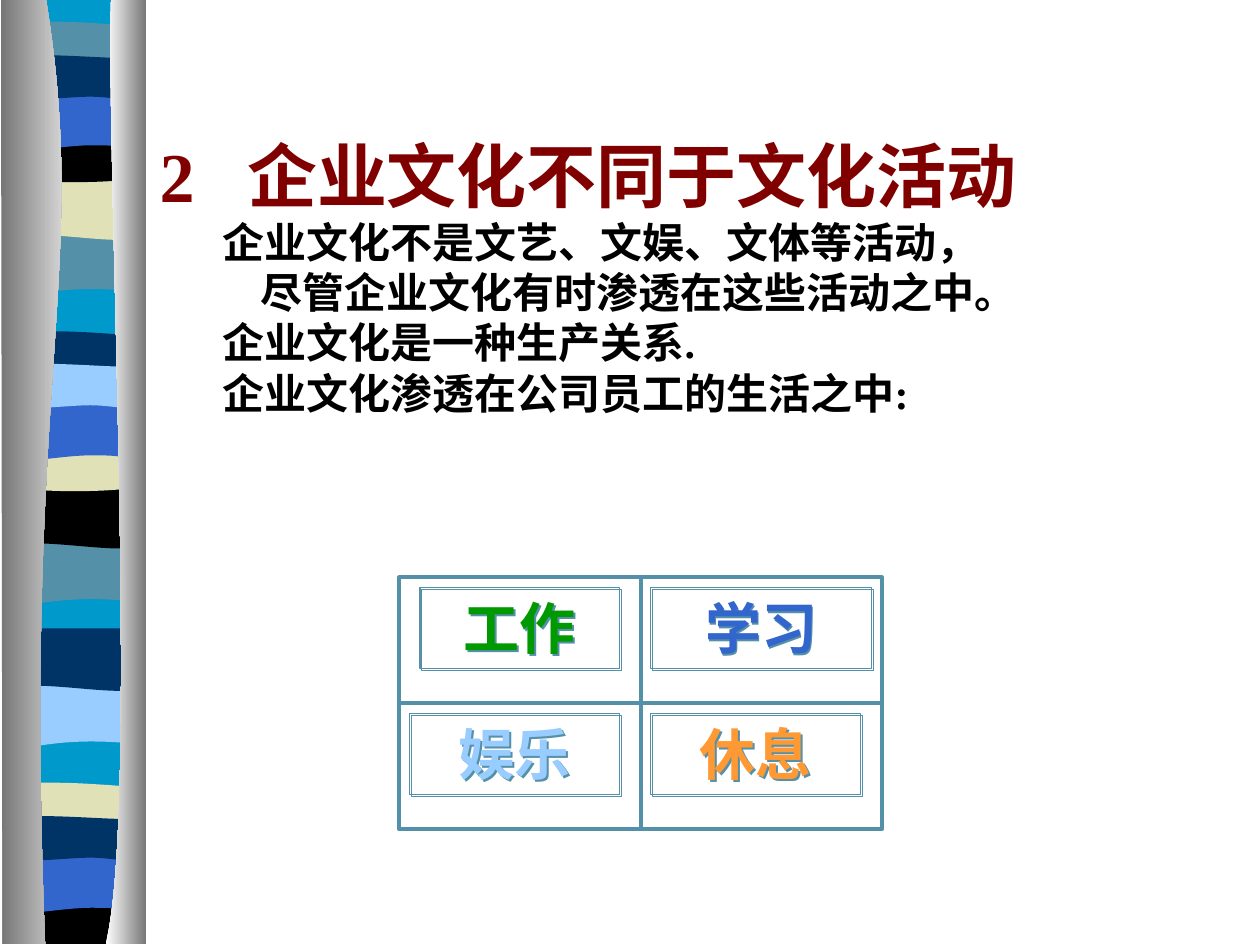
import pptx
import pptx.util
import pptx.dml.color
import pptx.enum.shapes
import pptx.enum.text
from lxml import etree
from pptx.util import Cm, Pt

FONT = "Times New Roman"
TEAL, NAVY, BLUE, SKY = "5490A8", "003366", "3366CC", "99CCFF"
CYAN, SAND, BLACK = "0099CC", "E1E1B7", "000000"
A = "http://schemas.openxmlformats.org/drawingml/2006/main"


def rgb(value):
    return pptx.dml.color.RGBColor.from_string(value)


def sub(parent, tag, **attrs):
    return etree.SubElement(parent, f"{{{A}}}{tag}", attrs)


def write(p, text, size=24, color=BLACK, align=None, indent=0, gap=0):
    """Write bold text; indent is in cm, gap widens the spaces, in points."""
    pPr = p._p.get_or_add_pPr()
    pPr.set("marL", str(Cm(indent)))
    pPr.set("indent", "0")
    p.alignment = align
    for piece in text.partition(" "):
        if not piece:
            continue
        r = p.add_run()
        r.text = piece
        r.font.name, r.font.size, r.font.bold = FONT, Pt(size), True
        r.font.color.rgb = rgb(color)
        if piece == " " and gap:
            r._r.get_or_add_rPr().set("spc", str(gap * 100))


def bend(sp, outline):
    """Turn each three line segments of a curve into one Bezier segment."""
    lines = sp._element.findall(f".//{{{A}}}lnTo")
    for part in outline[1:]:
        first = lines.pop(0)
        if len(part) == 6:
            curve = etree.Element(f"{{{A}}}cubicBezTo")
            first.addprevious(curve)
            for line in (first, lines.pop(0), lines.pop(0)):
                curve.append(line[0])
                line.getparent().remove(line)


class Deck:
    def __init__(self, line_color):
        self.prs = pptx.Presentation()
        self.prs.slide_width, self.prs.slide_height = Cm(25.4), Cm(19.05)
        self.s = self.prs.slides.add_slide(self.prs.slide_layouts[6])
        self.line_color = line_color

    def outline(self, outline, x=0, y=0, fill=None, gradient=None):
        """Draw corners (2 numbers) and Bezier curves (6 numbers)."""
        points = [(Cm(x + part[i]), Cm(y + part[i + 1]))
                  for part in outline for i in range(0, len(part), 2)]
        fb = self.s.shapes.build_freeform(*points[0], scale=1.0)
        fb.add_line_segments(points[1:], close=True)
        sp = fb.convert_to_shape()
        bend(sp, outline)
        sp.shadow.inherit = False
        sp.line.fill.background()
        if gradient:
            sp.fill.gradient()
            sp.fill.gradient_angle = 0
            for i, stop in enumerate(sp.fill.gradient_stops):
                stop.color.rgb = rgb(gradient[i])
                stop.position = i
        else:
            sp.fill.solid()
            sp.fill.fore_color.rgb = rgb(fill)

    def rect(self, x, y, w, h, weight):
        sp = self.s.shapes.add_shape(pptx.enum.shapes.MSO_SHAPE.RECTANGLE,
                                     Cm(x), Cm(y), Cm(w), Cm(h))
        sp.shadow.inherit = False
        sp.fill.background()
        sp.line.color.rgb = rgb(self.line_color)
        sp.line.width = Pt(weight)
        return sp

    def label(self, x, y, w, h, text, color):
        sp = self.rect(x, y, w, h, 0.75)
        effects = sp._element.spPr.find(f"{{{A}}}effectLst")
        shadow = sub(effects, "outerShdw", dist=str(Pt(1.4)), dir="2700000",
                     algn="ctr", rotWithShape="0")
        sub(shadow, "srgbClr", val=self.line_color)
        tf = sp.text_frame
        tf.word_wrap = True
        tf.vertical_anchor = pptx.enum.text.MSO_ANCHOR.TOP
        write(tf.paragraphs[0], text, 32, color, pptx.enum.text.PP_ALIGN.CENTER)

    def divider(self, sp, begin, end):
        c = self.s.shapes.add_connector(
            pptx.enum.shapes.MSO_CONNECTOR.STRAIGHT, 0, 0, 0, 0)
        c.begin_connect(sp, begin)
        c.end_connect(sp, end)
        c.line.color.rgb = rgb(self.line_color)
        c.line.width = Pt(2.25)
        sub(c._element.spPr, "effectLst")

    def text(self, x, y, w, h, paragraphs):
        tf = self.s.shapes.add_textbox(Cm(x), Cm(y), Cm(w), Cm(h)).text_frame
        tf.word_wrap = True
        for i, (text, style) in enumerate(paragraphs):
            write(tf.add_paragraph() if i else tf.paragraphs[0], text, **style)


# Band outlines, in cm from the left edge and top of the band
R = 2.74
WAVE = [(R, 0), (R, 1.19), (0.84, 0.98, 0.46, 1.39, 0, 1.19), (0, 0)]
SWELL = [(R, 0), (R, 1.19), (2.29, 1.4, 0.84, 1.04, 0, 1.19), (0, 0)]
ARCH = [(R, 0), (R, 1.19), (2.31, 1.05, 2.13, 1.05, 1.68, 1.05),
        (1.22, 1.05, 0.41, 1.19, 0, 1.19), (0, 0)]
BOWL = [(R, 0), (R, 0.82), (2.29, 0.97, 0.46, 0.97, 0, 0.82), (0, 0),
        (1.68, 0.13, 2.16, 0, R, 0)]
FLOOR = [(R, 0), (R, 0.95), (0, 0.95), (0, 0), (1.68, 0.13, 2.16, 0, R, 0)]
SLIM = [(R, 0.13), (R, 0.74), (2.29, 0.84, 0.46, 0.84, 0, 0.74), (0, 0.13),
        (0.15, 0, 0.58, 0.03, 1.04, 0.03), (1.5, 0.03, 2.39, 0.1, R, 0.13)]
RIBBON = [(R, 0.13), (R, 0.91), (2.57, 1.04, 2.13, 0.91, 1.68, 0.91),
          (1.22, 0.91, 0.28, 1.04, 0, 0.91), (0, 0.13),
          (0.38, 0, 1.85, 0.13, 2.31, 0.13)]

BANDS = [
    (WAVE, 4.7, TEAL), (SWELL, 3.58, SAND), (SLIM, 0.41, TEAL),
    (BOWL, 2.74, BLACK), (ARCH, 1.88, BLUE), (RIBBON, 1.04, NAVY),
    (WAVE, 10.95, TEAL), (SWELL, 9.8, BLACK), (SLIM, 6.65, NAVY),
    (BOWL, 8.97, SAND), (ARCH, 8.13, BLUE), (RIBBON, 7.26, SKY),
    (WAVE, 13.82, SKY), (SWELL, 12.67, NAVY), (SLIM, 15.75, SAND),
    (FLOOR, 18.08, BLACK), (ARCH, 17.25, BLUE), (RIBBON, 16.38, NAVY),
]


def main():
    deck = Deck(TEAL)

    # Striped side panel
    deck.outline([(0, 0), (R, 0), (R, 19), (0, 19)], x=0.15, fill=CYAN)
    for shape, top, color in BANDS:
        deck.outline(shape, 0.14, top, color)

    # Metallic edges
    deck.outline([(0.91, 0), (1.8, 5.49, 0.43, 7.52, 0.89, 19.03),
                  (0.03, 19.03), (0, 0)], x=0.02,
                 gradient=["767676", "FFFFFF"])
    deck.outline([(2.24, 0), (2.13, 3.18, 2.82, 16.41, 2.13, 19.03),
                  (2.95, 19.03), (2.95, 0)], gradient=["FFFFFF", "767676"])

    # Heading and statements
    body = dict(indent=1.27)
    deck.text(2.97, 2.54, 21.59, 11.43, [
        ("2 企业文化不同于文化活动", dict(size=40, color="800000", gap=20)),
        ("企业文化不是文艺、文娱、文体等活动，", body),
        ("尽管企业文化有时渗透在这些活动之中。", dict(indent=2.03)),
        ("企业文化是一种生产关系.", body),
        ("企业文化渗透在公司员工的生活之中:", body),
    ])

    # Four-part frame
    frame = deck.rect(8.05, 11.64, 9.73, 5.08, 2.25)
    deck.divider(frame, 2, 0)
    deck.divider(frame, 1, 3)

    # Labels of the four parts
    for x, y, w, text, color in [
        (8.47, 11.85, 4.02, "工作", "009900"),
        (13.12, 11.85, 4.45, "学习", BLUE),
        (8.26, 14.39, 4.23, "娱乐", SKY),
        (13.12, 14.39, 4.23, "休息", "FF9933"),
    ]:
        deck.label(x, y, w, 1.63, text, color)

    deck.prs.save("out.pptx")


if __name__ == "__main__":
    main()
